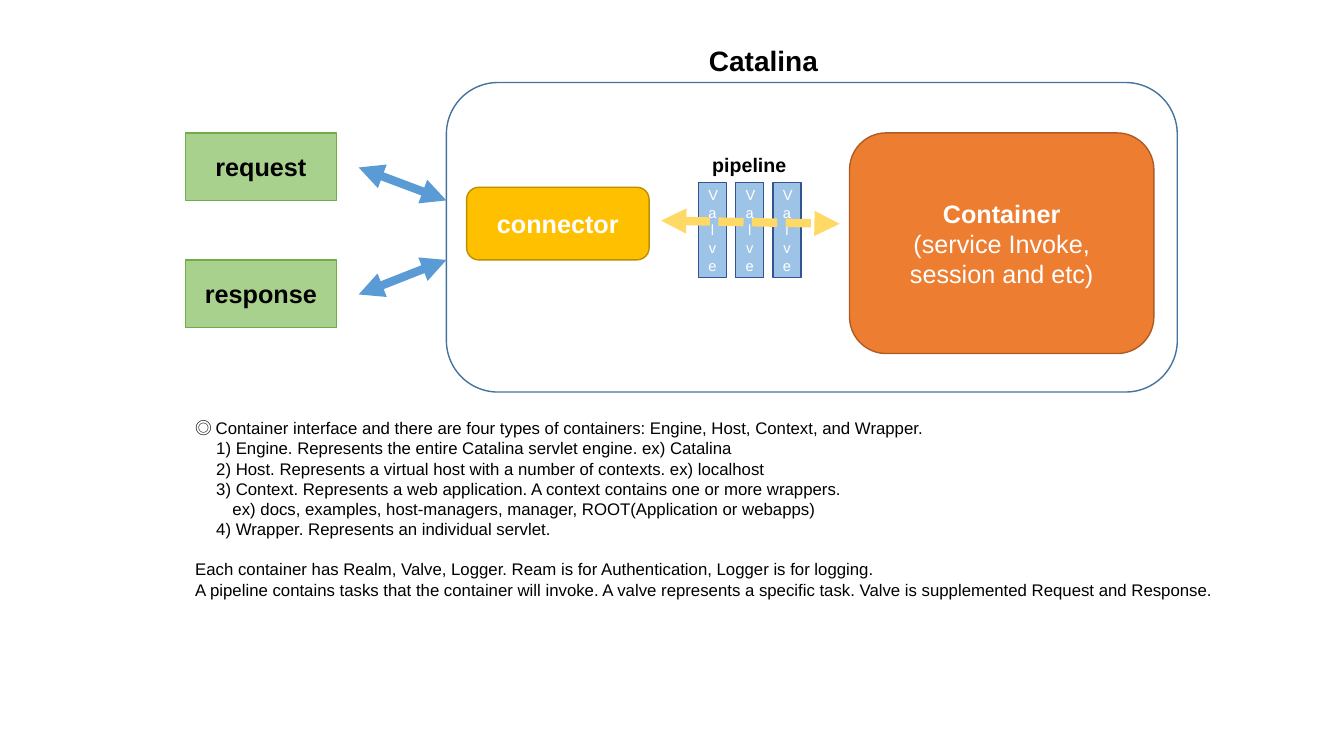
from dataclasses import dataclass

from lxml.etree import SubElement
from pptx import Presentation
from pptx.dml.color import RGBColor as RGB
from pptx.enum.dml import MSO_LINE as Dash
from pptx.enum.shapes import MSO_CONNECTOR as Link, MSO_SHAPE as Shape
from pptx.enum.text import MSO_ANCHOR as Anchor, MSO_AUTO_SIZE as Fit, PP_ALIGN as Align
from pptx.oxml.ns import qn
from pptx.util import Cm, Pt


@dataclass(frozen=True)
class Theme:
    font: str = "Arial"
    asian: str = "Noto Sans CJK JP"
    # Colours
    black: str = "000000"
    white: str = "FFFFFF"
    green: str = "A9D18E"
    moss: str = "70AD47"
    gold: str = "FFC000"
    bronze: str = "BD8E00"
    orange: str = "ED7D31"
    rust: str = "AF5C24"
    sky: str = "9DC3E6"
    navy: str = "325491"
    steel: str = "43739E"
    blue: str = "5B9BD5"
    yellow: str = "FFD966"
    # Type sizes
    head: float = 20
    label: float = 18
    sub: float = 14
    body: float = 12
    tiny: float = 10.5


class Board:
    def __init__(self, slide, theme):
        self.slide, self.theme = slide, theme

    def run(self, para, text, size, color, bold=False, font=None):
        run = para.add_run()
        run.text = text
        run.font.name = font or self.theme.font
        run.font.size, run.font.bold = Pt(size), bold
        run.font.color.rgb = RGB.from_string(color)
        if font:
            SubElement(run._r.get_or_add_rPr(), qn("a:ea"), typeface=font)

    def place(self, item, box):
        item.left, item.top, item.width, item.height = map(Cm, box)

    def title(self, text, box):
        item = self.slide.shapes.title
        self.place(item, box)
        frame = item.text_frame
        frame.word_wrap, frame.auto_size = False, Fit.NONE
        frame.vertical_anchor = Anchor.MIDDLE
        para = frame.paragraphs[0]
        para.alignment = Align.CENTER
        self.run(para, text, self.theme.head, self.theme.black, True)

    def text(self, box, wrap=True):
        frame = self.slide.shapes.add_textbox(*map(Cm, box)).text_frame
        frame.word_wrap = wrap
        return frame

    def label(self, text, box):
        para = self.text(box, False).paragraphs[0]
        self.run(para, text, self.theme.sub, self.theme.black, True)

    def notes(self, rows, box):
        frame, look = self.text(box), self.theme
        for i, (mark, text, indent, gap) in enumerate(rows):
            para = frame.add_paragraph() if i else frame.paragraphs[0]
            para.line_spacing, para.space_before = Pt(14.4), Pt(gap)
            para._p.get_or_add_pPr().set("marL", str(Cm(indent)))
            if mark:
                self.run(para, mark, look.body, look.black, font=look.asian)
            self.run(para, text, look.body, look.black)

    def block(self, kind, box, fill, edge, lines=(), size=None, color=None):
        """Draw a shape; lines holds (text, bold) pairs, one per paragraph."""
        item = self.slide.shapes.add_shape(kind, *map(Cm, box))
        item.shadow.inherit = False
        if fill:
            item.fill.solid()
            item.fill.fore_color.rgb = RGB.from_string(fill)
        else:
            item.fill.background()
        item.line.color.rgb = RGB.from_string(edge)
        item.line.width = Pt(1)
        frame = item.text_frame
        frame.word_wrap, frame.vertical_anchor = True, Anchor.MIDDLE
        for i, (text, bold) in enumerate(lines):
            para = frame.add_paragraph() if i else frame.paragraphs[0]
            para.alignment = Align.CENTER
            self.run(para, text, size, color, bold)

    def arrow(self, ends, color, dash=None):
        item = self.slide.shapes.add_connector(Link.STRAIGHT, *map(Cm, ends))
        item.line.color.rgb = RGB.from_string(color)
        item.line.width = Pt(6)
        if dash:
            item.line.dash_style = dash
        for tip in ("a:headEnd", "a:tailEnd"):
            SubElement(item.line._get_or_add_ln(), qn(tip), type="triangle")
        SubElement(item._element.spPr, qn("a:effectLst"))


# Text, indent in cm and space before in points
NOTES = [
    ("◎ ", "Container interface and there are four types of containers: "
     "Engine, Host, Context, and Wrapper.", 0, 0),
    ("", "1) Engine. Represents the entire Catalina servlet engine. ex) Catalina", 0.53, 0),
    ("", "2) Host. Represents a virtual host with a number of contexts. ex) localhost", 0.53, 0),
    ("", "3) Context. Represents a web application. "
     "A context contains one or more wrappers.", 0.53, 0),
    ("", "ex) docs, examples, host-managers, manager, "
     "ROOT(Application or webapps)", 0.94, 0),
    ("", "4) Wrapper. Represents an individual servlet.", 0.53, 0),
    ("", "Each container has Realm, Valve, Logger. "
     "Ream is for Authentication, Logger is for logging.", 0, 14.4),
    ("", "A pipeline contains tasks that the container will invoke. "
     "A valve represents a specific task. "
     "Valve is supplemented Request and Response.", 0, 0),
]


def main():
    deck = Presentation()
    deck.slide_width, deck.slide_height = Cm(33.87), Cm(19.05)
    look = Theme()
    board = Board(deck.slides.add_slide(deck.slide_layouts[5]), look)

    # Title and explanation
    board.title("Catalina", (17.6, 0.97, 3.28, 1.12))
    board.notes(NOTES, (4.67, 10.41, 26.52, 4.88))

    # Catalina frame
    board.block(Shape.ROUNDED_RECTANGLE, (11.25, 2.08, 18.42, 7.8), None, look.steel)

    # Pipeline valves
    board.label("pipeline", (17.7, 3.73, 2.39, 0.86))
    for i in range(3):
        board.block(Shape.RECTANGLE, (17.6 + 0.94 * i, 4.6, 0.71, 2.39),
                    look.sky, look.navy, [("Valve", False)], look.tiny, look.white)

    # Request and response, each linked to the frame
    for name, top, start, end in (("request", 3.35, 4.22, 5.05),
                                  ("response", 6.55, 7.42, 6.55)):
        board.block(Shape.RECTANGLE, (4.67, top, 3.81, 1.7),
                    look.green, look.moss, [(name, True)], look.label, look.black)
        board.arrow((9.04, start, 11.25, end), look.blue)

    # Connector and container
    board.block(Shape.ROUNDED_RECTANGLE, (11.76, 4.72, 4.6, 1.83),
                look.gold, look.bronze, [("connector", True)], look.label, look.white)
    board.block(Shape.ROUNDED_RECTANGLE, (21.41, 3.35, 7.67, 5.56), look.orange, look.rust,
                [("Container", True), ("(service Invoke, session and etc)", False)],
                look.label, look.white)
    board.arrow((16.66, 5.56, 21.16, 5.64), look.yellow, Dash.SQUARE_DOT)

    deck.save("out.pptx")


if __name__ == "__main__":
    main()
